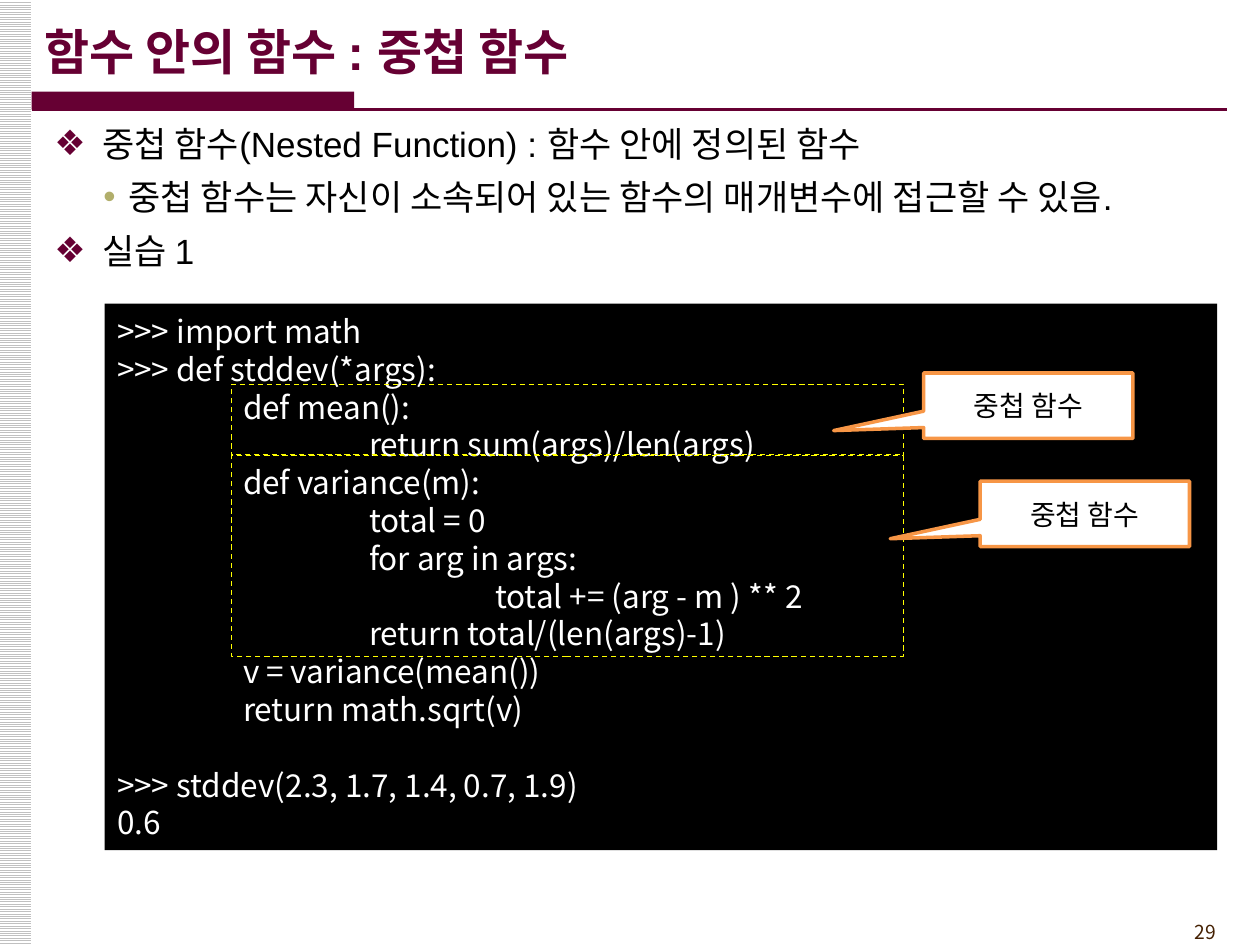
import dataclasses

import lxml.etree
import pptx
import pptx.dml.color
import pptx.enum.dml
import pptx.enum.shapes
import pptx.enum.text
import pptx.oxml.ns
import pptx.util

Cm, Pt = pptx.util.Cm, pptx.util.Pt
Rgb = pptx.dml.color.RGBColor.from_string
Kind = pptx.enum.shapes.MSO_SHAPE
Align = pptx.enum.text.PP_ALIGN
Anchor = pptx.enum.text.MSO_ANCHOR
qn = pptx.oxml.ns.qn


@dataclasses.dataclass(frozen=True)
class Theme:
    wine: str = "660033"
    olive: str = "B1AE6B"
    brown: str = "452103"
    orange: str = "F79646"
    yellow: str = "FFFF00"
    gray: str = "C0C0C0"
    white: str = "FFFFFF"
    black: str = "000000"
    head: str = "Arial"
    text: str = "Noto Sans CJK KR"
    title: float = 28
    body: float = 20
    code: float = 18
    note: float = 16
    page: float = 11
    lead: float = 1.2


T = Theme()

POINTS = [
    (0, "중첩 함수(Nested Function) : 함수 안에 정의된 함수"),
    (1, "중첩 함수는 자신이 소속되어 있는 함수의 매개변수에 접근할 수 있음."),
    (0, "실습 1"),
]

# Each block is set off from the one before by an empty line's height.
BLOCKS = [
    [
        ">>> import math",
        ">>> def stddev(*args):",
        "\tdef mean():",
        "\t\treturn sum(args)/len(args)",
        "\tdef variance(m):",
        "\t\ttotal = 0",
        "\t\tfor arg in args:",
        "\t\t\ttotal += (arg - m ) ** 2",
        "\t\treturn total/(len(args)-1)",
        "\tv = variance(mean())",
        "\treturn math.sqrt(v)",
    ],
    [">>> stddev(2.3, 1.7, 1.4, 0.7, 1.9)", "0.6"],
]


def style(para, face, size, color, bold=False):
    font = para.font
    font.name, font.size, font.bold = face, Pt(size), bold
    font.color.rgb = Rgb(color)


def place(shape, box):
    shape.left, shape.top, shape.width, shape.height = map(Cm, box)


def draw(slide, kind, box, fill=None, line=None, width=1):
    shape = slide.shapes.add_shape(kind, *map(Cm, box))
    shape.shadow.inherit = False
    if fill:
        shape.fill.solid()
        shape.fill.fore_color.rgb = Rgb(fill)
    else:
        shape.fill.background()
    if line:
        shape.line.color.rgb = Rgb(line)
        shape.line.width = Pt(width)
    else:
        shape.line.fill.background()
    return shape


def bullet(para, mark, color, left, hang):
    props = para._p.get_or_add_pPr()
    props.set("marL", str(Cm(left)))
    props.set("indent", str(-Cm(hang)))
    tint = lxml.etree.SubElement(props, qn("a:buClr"))
    lxml.etree.SubElement(tint, qn("a:srgbClr")).set("val", color)
    lxml.etree.SubElement(props, qn("a:buChar")).set("char", mark)


def tabs(para, step, count):
    stops = lxml.etree.SubElement(para._p.get_or_add_pPr(), qn("a:tabLst"))
    for num in range(1, count + 1):
        stop = lxml.etree.SubElement(stops, qn("a:tab"))
        stop.set("pos", str(Cm(step * num)))
        stop.set("algn", "l")


def margin(slide, box):
    """Striped band down the left edge."""
    band = draw(slide, Kind.RECTANGLE, box)
    band.fill.patterned()
    band.fill.pattern = pptx.enum.dml.MSO_PATTERN.LIGHT_HORIZONTAL
    band.fill.fore_color.rgb = Rgb(T.gray)
    band.fill.back_color.rgb = Rgb(T.white)


def rule(slide, box):
    """Short thick bar standing on a thin full-width line."""
    left, top, width, height = box
    draw(slide, Kind.RECTANGLE, (left, top, 6.5, height), T.wine)
    base = top + height
    line = slide.shapes.add_connector(
        pptx.enum.shapes.MSO_CONNECTOR.STRAIGHT,
        Cm(left), Cm(base), Cm(left + width), Cm(base))
    line.line.color.rgb = Rgb(T.wine)
    line.line.width = Pt(1.5)
    lxml.etree.SubElement(line._element.spPr, qn("a:effectLst"))


def title(slide, box):
    shape = slide.shapes.title
    place(shape, box)
    frame = shape.text_frame
    frame.text = "함수 안의 함수 : 중첩 함수"
    frame.auto_size = pptx.enum.text.MSO_AUTO_SIZE.NONE
    frame.vertical_anchor = Anchor.MIDDLE
    para = frame.paragraphs[0]
    para.alignment = Align.LEFT
    style(para, T.head, T.title, T.wine, True)


def body(slide, box):
    shape = slide.placeholders[1]
    place(shape, box)
    frame = shape.text_frame
    frame.text = "\n".join(text for _, text in POINTS)
    frame.auto_size = pptx.enum.text.MSO_AUTO_SIZE.NONE
    for para, (level, _) in zip(frame.paragraphs, POINTS):
        para.level = level
        if level:
            bullet(para, "•", T.olive, 1.5, 0.51)
        else:
            bullet(para, "❖", T.wine, 0.97, 0.97)
        para.line_spacing = Pt(T.body * T.lead * (1.1 if level else 1))
        para.space_before = Pt(T.body * 0.2)
        para.space_after = Pt(3 if level else 0)
        style(para, T.head, T.body, T.black)


def code(slide, box):
    """Listing with its nested functions framed and labelled."""
    left, top, _, _ = box
    panel = draw(slide, Kind.RECTANGLE, box, T.black)
    frame = panel.text_frame
    frame.word_wrap = True
    frame.vertical_anchor = Anchor.TOP
    frame.margin_top = Cm(0.17)
    frame.text = "\n".join(line for block in BLOCKS for line in block)
    lead = Pt(T.code * T.lead)
    for para in frame.paragraphs:
        tabs(para, 2.54, 3)
        para.alignment = Align.LEFT
        para.line_spacing = lead
        style(para, T.text, T.code, T.white)
    frame.paragraphs[len(BLOCKS[0])].space_before = lead

    for y, height, note_x, note_y in ((1.63, 1.44, 16.51, 1.4),
                                      (3.05, 4.06, 17.65, 3.58)):
        edge = draw(slide, Kind.RECTANGLE,
                    (left + 2.56, top + y, 13.54, height),
                    line=T.yellow, width=0.75)
        edge.line.dash_style = pptx.enum.dml.MSO_LINE.DASH
        note(slide, (left + note_x, top + note_y, 4.22, 1.32))


def note(slide, box):
    shape = draw(slide, Kind.RECTANGULAR_CALLOUT, box, T.white, T.orange, 2)
    shape.adjustments[0], shape.adjustments[1] = -0.93, 0.38
    frame = shape.text_frame
    frame.text = "중첩 함수"
    frame.vertical_anchor = Anchor.MIDDLE
    para = frame.paragraphs[0]
    para.alignment = Align.CENTER
    style(para, T.text, T.note, T.black)


def page(slide, box):
    frame = slide.shapes.add_textbox(*map(Cm, box)).text_frame
    frame.text = "29"
    frame.word_wrap = True
    frame.vertical_anchor = Anchor.MIDDLE
    para = frame.paragraphs[0]
    para.alignment = Align.RIGHT
    style(para, T.text, T.page, T.brown)


def main():
    deck = pptx.Presentation()
    deck.slide_width, deck.slide_height = Cm(25.4), Cm(19.05)
    slide = deck.slides.add_slide(deck.slide_layouts[1])
    margin(slide, (-0.03, 0, 0.66, 19.05))
    page(slide, (22.66, 18.42, 2.11, 0.74))
    rule(slide, (0.64, 1.85, 24.1, 0.36))
    body(slide, (0.84, 2.34, 24.13, 15.88))
    title(slide, (0.64, 0.23, 21, 1.6))
    code(slide, (2.11, 6.12, 22.43, 11.02))
    deck.save("out.pptx")


if __name__ == "__main__":
    main()
